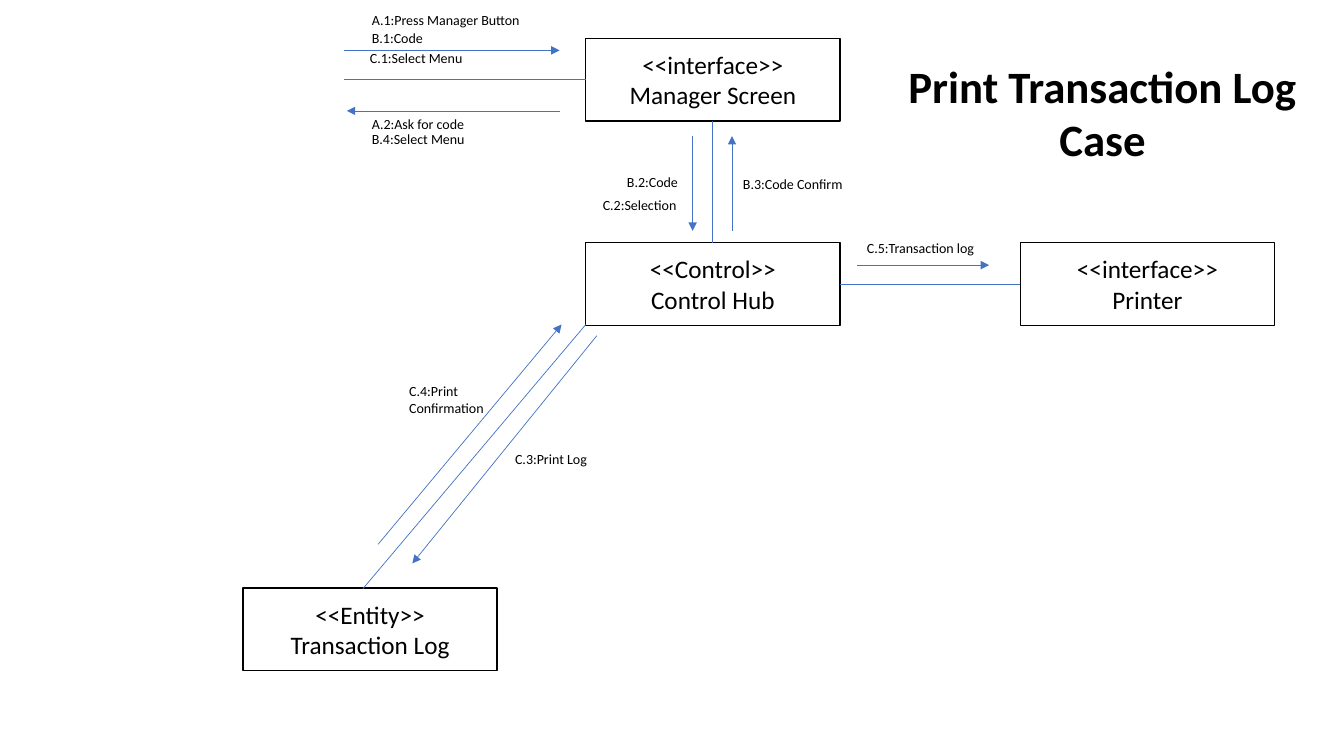
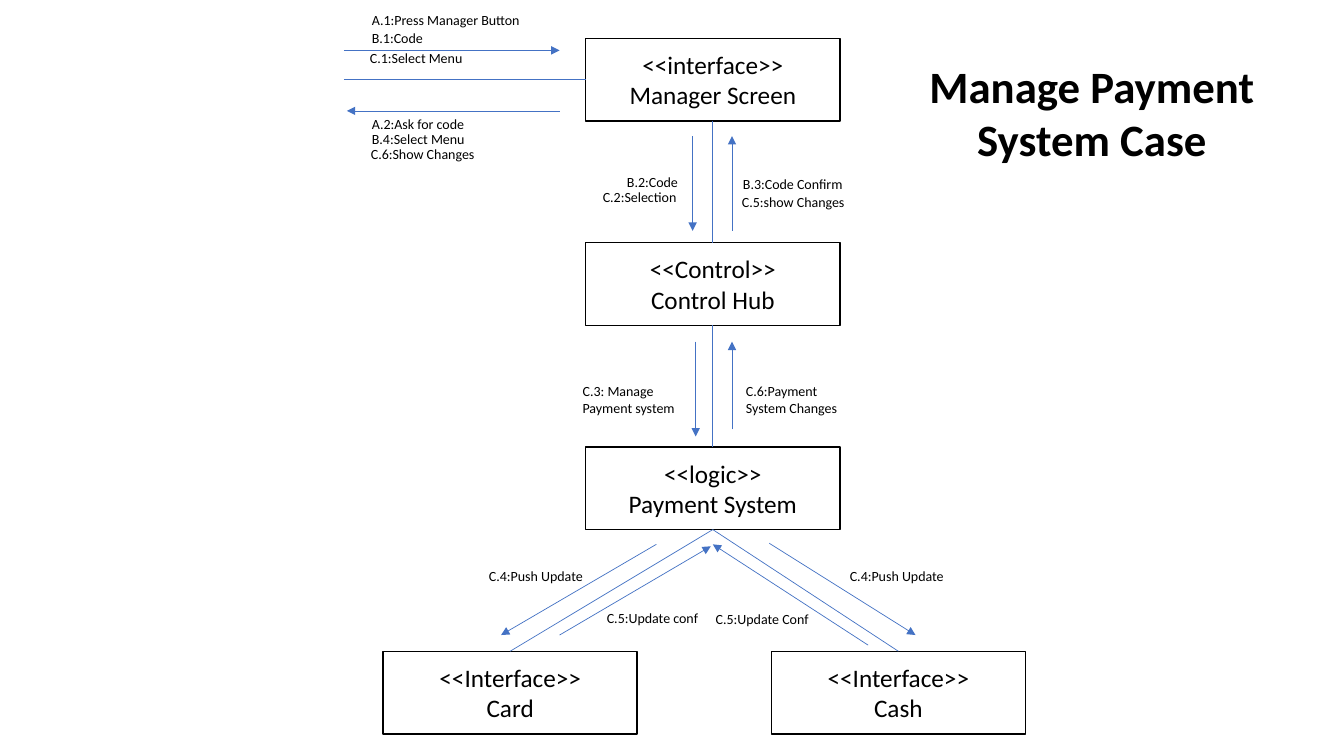
"""Builds two collaboration diagrams: print transaction log and manage payment system."""
from dataclasses import dataclass

from lxml import etree
from pptx import Presentation
from pptx.dml.color import RGBColor
from pptx.enum.shapes import MSO_CONNECTOR, MSO_SHAPE
from pptx.enum.text import MSO_ANCHOR, MSO_AUTO_SIZE, PP_ALIGN
from pptx.oxml.ns import qn
from pptx.util import Inches, Pt

STRAIGHT = MSO_CONNECTOR.STRAIGHT
RECT = MSO_SHAPE.RECTANGLE
MIDDLE = MSO_ANCHOR.MIDDLE
GROW = MSO_AUTO_SIZE.SHAPE_TO_FIT_TEXT
LEFT, CENTER = PP_ALIGN.LEFT, PP_ALIGN.CENTER
TOP_SITE, LEFT_SITE, BOTTOM_SITE, RIGHT_SITE = range(4)


@dataclass(frozen=True)
class Theme:
    font: str = "Calibri"
    ink: str = "000000"
    paper: str = "FFFFFF"
    accent: str = "4472C4"
    title_pt: float = 32
    box_pt: float = 18
    label_pt: float = 10
    box_line_pt: float = 1
    link_pt: float = 0.5
    outline_pt: float = 0.75


COLS, ROWS = 133.3, 75
BOX_W, BOX_H = 25.2, 8.2
TIER_TOP, TIER_STEP = 3.8, 20.27
MAIN_COL = 58.1


def cells(n):
    return Inches(n / 10)


def rgb(value):
    return RGBColor.from_string(value)


class Diagram:
    def __init__(self, theme):
        self.theme = theme
        self.prs = Presentation()
        self.prs.slide_width, self.prs.slide_height = cells(COLS), cells(ROWS)
        self.slide = None

    def new_slide(self):
        self.slide = self.prs.slides.add_slide(self.prs.slide_layouts[6])

    def set_text(self, tf, text, size, align=LEFT, bold=False):
        tf.word_wrap = True
        tf.text = text
        for p in tf.paragraphs:
            p.alignment = align
            for r in p.runs:
                r.font.name = self.theme.font
                r.font.size = Pt(size)
                r.font.bold = bold
                r.font.color.rgb = rgb(self.theme.ink)

    def text(self, left, top, width, height, text, size, align=LEFT, bold=False):
        tb = self.slide.shapes.add_textbox(*map(cells, (left, top, width, height)))
        self.set_text(tb.text_frame, text, size, align, bold)
        tb.text_frame.auto_size = GROW
        return tb

    def label(self, left, top, text, width=12.9, height=2.7):
        self.text(left, top, width, height, text, self.theme.label_pt)

    def title(self, text, width):
        tb = self.text(84.6, 5.3, width, 11.8, text, self.theme.title_pt, CENTER, True)
        for r in tb.text_frame.paragraphs[0].runs:
            ln = etree.Element(qn("a:ln"), w=str(Pt(self.theme.outline_pt)))
            fill = etree.SubElement(ln, qn("a:solidFill"))
            etree.SubElement(fill, qn("a:srgbClr"), val=self.theme.paper)
            r._r.get_or_add_rPr().insert(0, ln)

    def box(self, left, tier, stereotype, name):
        top = TIER_TOP + tier * TIER_STEP
        sp = self.slide.shapes.add_shape(RECT, *map(cells, (left, top, BOX_W, BOX_H)))
        sp.shadow.inherit = False
        sp.fill.solid()
        sp.fill.fore_color.rgb = rgb(self.theme.paper)
        sp.line.color.rgb = rgb(self.theme.ink)
        sp.line.width = Pt(self.theme.box_line_pt)
        sp.text_frame.vertical_anchor = MIDDLE
        self.set_text(sp.text_frame, f"<<{stereotype}>>\n{name}", self.theme.box_pt, CENTER)
        return sp

    def line(self, x1, y1, x2, y2):
        cx = self.slide.shapes.add_connector(STRAIGHT, *map(cells, (x1, y1, x2, y2)))
        cx.line.color.rgb = rgb(self.theme.accent)
        cx.line.width = Pt(self.theme.link_pt)
        etree.SubElement(cx._element.spPr, qn("a:effectLst"))
        return cx

    def arrow(self, x1, y1, x2, y2):
        cx = self.line(x1, y1, x2, y2)
        etree.SubElement(cx.line._get_or_add_ln(), qn("a:tailEnd"), type="triangle")

    def link(self, start, start_site, end, end_site):
        cx = self.line(0, 0, 0, 0)
        cx.begin_connect(start, start_site)
        cx.end_connect(end, end_site)

    def manager_and_hub(self):
        screen = self.box(MAIN_COL, 0, "interface", "Manager Screen")
        hub = self.box(MAIN_COL, 1, "Control", "Control Hub")
        self.line(34.1, 7.9, MAIN_COL, 7.9)
        self.link(screen, BOTTOM_SITE, hub, TOP_SITE)
        self.arrow(34.1, 5, 55.5, 5)
        self.arrow(55.5, 11, 34.4, 11)
        self.arrow(72.6, 22.9, 72.6, 13.5)
        self.arrow(68.7, 13.5, 68.7, 22.9)
        self.label(35.9, 0.7, "A.1:Press Manager Button", 17.1)
        self.label(35.9, 2.4, "B.1:Code", 17.1)
        self.label(35.7, 4.4, "C.1:Select Menu")
        self.label(35.9, 11, "A.2:Ask for code")
        self.label(35.9, 12.5, "B.4:Select Menu")
        self.label(61.2, 16.7, "B.2:Code", 7.4)
        self.label(72.7, 16.9, "B.3:Code Confirm")
        return hub

    def print_log_slide(self):
        self.new_slide()
        hub = self.manager_and_hub()
        printer = self.box(101.2, 1, "interface", "Printer")
        self.box(24.1, 2.69, "Entity", "Transaction Log")
        self.link(printer, LEFT_SITE, hub, RIGHT_SITE)
        self.line(36, 58.4, MAIN_COL, 32.2)
        self.arrow(37.5, 54, 55.7, 32.2)
        self.arrow(59.2, 33.3, 40.9, 55.9)
        self.arrow(85, 26.3, 98.1, 26.3)
        self.label(58.8, 19, "C.2:Selection")
        self.label(50.1, 44.2, "C.3:Print Log")
        self.label(39.6, 37.5, "C.4:Print Confirmation", 11.5, 4.4)
        self.label(85, 23.3, "C.5:Transaction log")
        self.title("Print Transaction Log Case", 49.5)

    def payment_slide(self):
        self.new_slide()
        hub = self.manager_and_hub()
        payment = self.box(MAIN_COL, 2, "logic", "Payment System")
        self.link(hub, BOTTOM_SITE, payment, TOP_SITE)
        for left, name in ((38, "Card"), (76.5, "Cash")):
            method = self.box(left, 3, "Interface", name)
            self.link(payment, BOTTOM_SITE, method, TOP_SITE)
        self.arrow(69, 33.9, 69, 43.3)
        self.arrow(72.6, 42.6, 72.6, 33.9)
        self.arrow(65.1, 54, 49.7, 63)
        self.arrow(76.3, 53.9, 90.8, 63)
        self.arrow(55.5, 63, 70.5, 54.2)
        self.arrow(86.1, 64, 70.7, 54)
        self.label(58.8, 18.2, "C.2:Selection")
        self.label(72.6, 18.7, "C.5:show Changes", 14.7)
        self.label(35.8, 13.9, "C.6:Show Changes", 14.7)
        self.label(56.8, 37.5, "C.3: Manage Payment system", height=4.4)
        self.label(73, 37.5, "C.6:Payment System Changes", height=4.4)
        for left in (47.5, 83.3):
            self.label(left, 55.8, "C.4:Push Update")
        self.label(59.2, 60, "C.5:Update conf")
        self.label(70, 60.1, "C.5:Update Conf")
        self.title("Manage Payment System Case", 47.4)


diagram = Diagram(Theme())
diagram.print_log_slide()
diagram.payment_slide()
diagram.prs.save("out.pptx")
